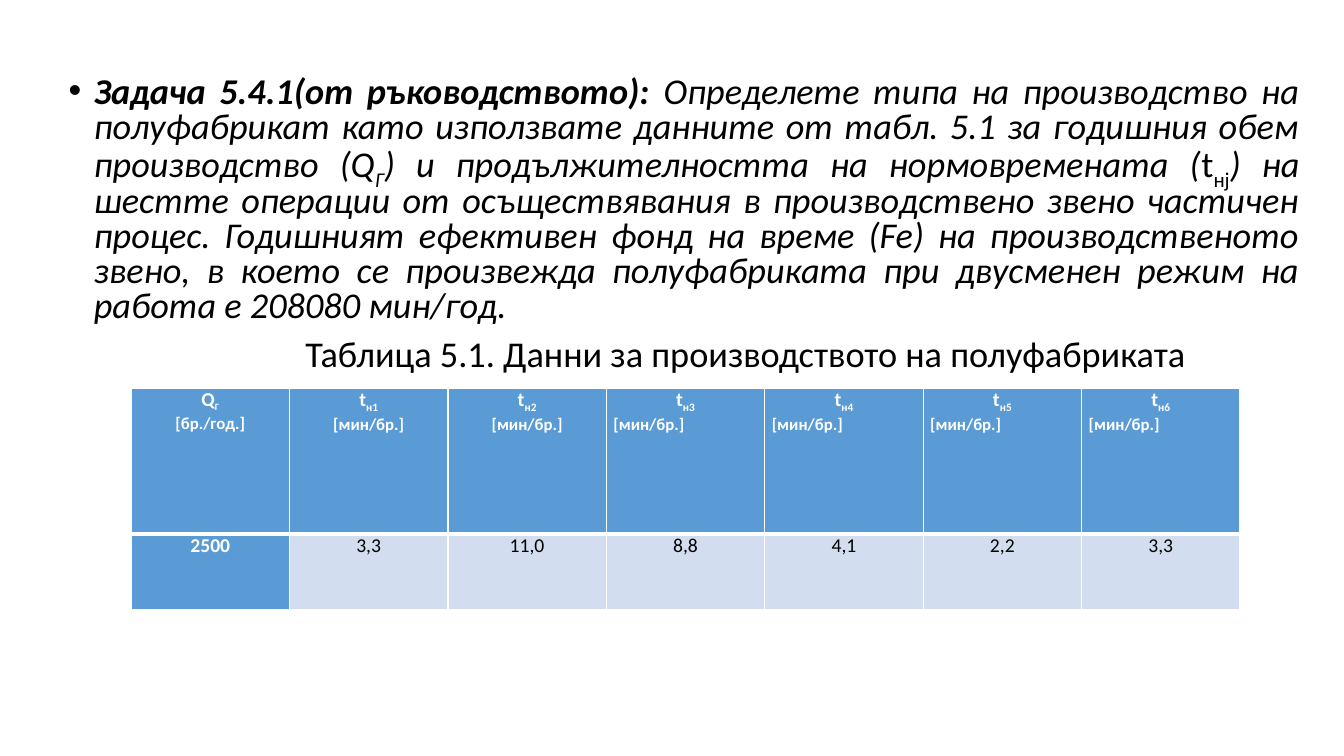
from dataclasses import dataclass

import pptx
import pptx.dml.color
import pptx.enum.text
import pptx.oxml
import pptx.oxml.ns
import pptx.util
from pptx.util import Inches

ALIGN = pptx.enum.text.PP_ALIGN


@dataclass(frozen=True)
class Theme:
    font: str = "Calibri"
    black: str = "000000"
    white: str = "FFFFFF"
    header_fill: str = "5B9BD5"
    value_fill: str = "D2DEEF"
    body_size: float = 25.9
    cell_size: float = 14
    unit_size: float = 12
    thin: float = 1
    thick: float = 3


@dataclass(frozen=True)
class Piece:
    text: str
    size: float
    color: str
    bold: bool = False
    italic: bool = False
    subscript: bool = False


@dataclass(frozen=True)
class Column:
    symbol: str
    index: str
    index_size: float
    unit: str
    unit_alignment: ALIGN
    value: str


THEME = Theme()


def body_piece(text: str, bold: bool = False, italic: bool = True, subscript: bool = False) -> Piece:
    return Piece(text, THEME.body_size, THEME.black, bold, italic, subscript)


TASK = [
    body_piece("Задача 5.4.1(от ръководството): ", bold=True),
    body_piece("Определете типа на производство на полуфабрикат като използвате данните "
               "от табл. 5.1 за годишния обем производство (Q"),
    body_piece("Г", subscript=True),
    body_piece(") и продължителността на нормовремената ("),
    body_piece("t", italic=False),
    body_piece("нj", italic=False, subscript=True),
    body_piece(") на шестте операции от осъществявания в производствено звено частичен процес. "
               "Годишният ефективен фонд на време (Fe) на производственото звено, в което се "
               "произвежда полуфабриката при двусменен режим на работа e 208080 мин/год."),
]
CAPTION = [body_piece("Таблица 5.1. Данни за производството на полуфабриката", italic=False)]

TIMES = ["3,3", "11,0", "8,8", "4,1", "2,2", "3,3"]
COLUMNS = [Column("Q", "Г", THEME.unit_size, "[бр./год.]", ALIGN.CENTER, "2500")] + [
    Column("t", f"н{number}", THEME.cell_size, "[мин/бр.]",
           ALIGN.CENTER if number <= 2 else ALIGN.LEFT, time)
    for number, time in enumerate(TIMES, start=1)
]


def write_pieces(paragraph, pieces: list[Piece], alignment: ALIGN) -> None:
    paragraph.alignment = alignment
    for piece in pieces:
        run = paragraph.add_run()
        run.text = piece.text
        font = run.font
        font.name = THEME.font
        font.size = pptx.util.Pt(piece.size)
        font.bold = piece.bold
        font.italic = piece.italic
        font.color.rgb = pptx.dml.color.RGBColor.from_string(piece.color)
        if piece.subscript:
            run._r.get_or_add_rPr().set("baseline", "-25000")


def set_bullet(paragraph, character: str, margin: float, indent: float) -> None:
    """Set the bullet (none if the character is empty) and the indents in inches."""
    properties = paragraph._p.get_or_add_pPr()
    properties.set("marL", str(Inches(margin)))
    properties.set("indent", str(Inches(indent)))
    namespace = pptx.oxml.ns.nsdecls("a")
    if character:
        properties.append(pptx.oxml.parse_xml(f'<a:buFont {namespace} typeface="Arial"/>'))
        properties.append(pptx.oxml.parse_xml(f'<a:buChar {namespace} char="{character}"/>'))
    else:
        properties.append(pptx.oxml.parse_xml(f"<a:buNone {namespace}/>"))


def add_task(slide) -> None:
    body = slide.placeholders[1]
    body.left, body.top = Inches(0.58), Inches(0.71)
    body.width, body.height = Inches(12.41), Inches(3.14)
    text_frame = body.text_frame
    text_frame.word_wrap = True
    text_frame.auto_size = pptx.enum.text.MSO_AUTO_SIZE.NONE
    text_frame.vertical_anchor = pptx.enum.text.MSO_ANCHOR.TOP

    task = text_frame.paragraphs[0]
    caption = text_frame.add_paragraph()
    set_bullet(task, "•", 0.25, -0.25)
    set_bullet(caption, "", 2.35, 0)
    for paragraph, space in ((task, 0), (caption, 10)):
        paragraph.line_spacing = 0.8
        paragraph.space_before = pptx.util.Pt(space)
    write_pieces(task, TASK, ALIGN.JUSTIFY)
    write_pieces(caption, CAPTION, ALIGN.LEFT)


def style_cell(cell, fill: str, top: float, bottom: float) -> None:
    """Set insets, white borders (top and bottom widths in points) and fill."""
    cell.margin_left = cell.margin_right = Inches(0.07)
    cell.margin_top = cell.margin_bottom = 0
    properties = cell._tc.get_or_add_tcPr()
    for side, width in (("L", THEME.thin), ("R", THEME.thin), ("T", top), ("B", bottom)):
        properties.append(pptx.oxml.parse_xml(
            f'<a:ln{side} {pptx.oxml.ns.nsdecls("a")} w="{pptx.util.Pt(width)}"><a:solidFill>'
            f'<a:srgbClr val="{THEME.white}"/></a:solidFill></a:ln{side}>'))
    cell.fill.solid()
    cell.fill.fore_color.rgb = pptx.dml.color.RGBColor.from_string(fill)


def add_data_table(slide) -> None:
    width = Inches(11)
    table = slide.shapes.add_table(
        2, len(COLUMNS), Inches(1.3), Inches(3.85), width, Inches(2.2)).table
    table.first_col = True
    table.rows[0].height, table.rows[1].height = Inches(1.45), Inches(0.75)
    for number, column in enumerate(COLUMNS):
        table.columns[number].width = width // len(COLUMNS)

        header = table.cell(0, number)
        style_cell(header, THEME.header_fill, THEME.thin, THEME.thick)
        write_pieces(header.text_frame.paragraphs[0], [
            Piece(column.symbol, THEME.cell_size, THEME.white, bold=True),
            Piece(column.index, column.index_size, THEME.white, bold=True, subscript=True),
        ], ALIGN.CENTER)
        write_pieces(header.text_frame.add_paragraph(), [
            Piece(column.unit, THEME.unit_size, THEME.white, bold=True),
        ], column.unit_alignment)

        value = table.cell(1, number)
        is_first = number == 0
        style_cell(value, THEME.header_fill if is_first else THEME.value_fill,
                   THEME.thick, THEME.thin)
        write_pieces(value.text_frame.paragraphs[0], [
            Piece(column.value, THEME.cell_size,
                  THEME.white if is_first else THEME.black, bold=is_first),
        ], ALIGN.CENTER)


def main() -> None:
    presentation = pptx.Presentation()
    presentation.slide_width, presentation.slide_height = Inches(13.33), Inches(7.5)
    slide = presentation.slides.add_slide(presentation.slide_layouts[1])
    title = slide.shapes.title._element
    title.getparent().remove(title)
    add_task(slide)
    add_data_table(slide)
    presentation.save("out.pptx")


if __name__ == "__main__":
    main()
